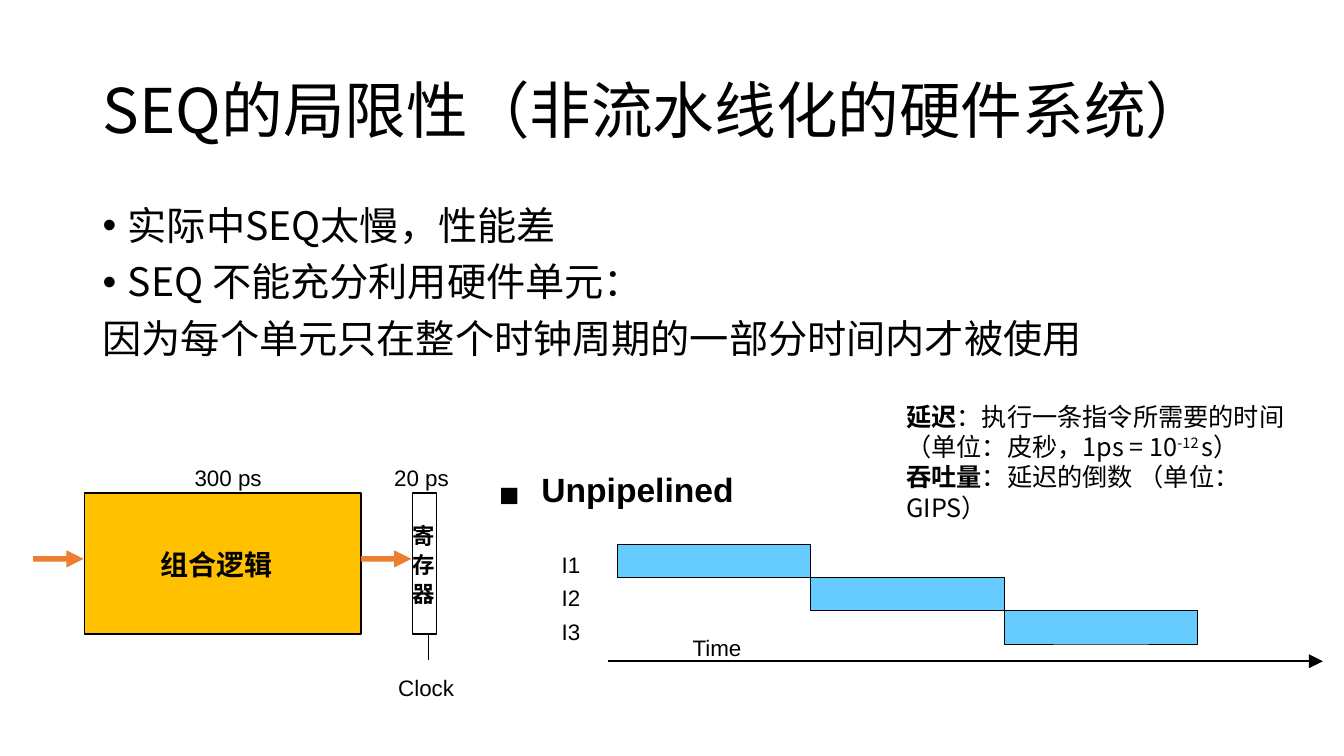
from lxml.etree import SubElement
from pptx import Presentation
from pptx.dml.color import RGBColor
from pptx.enum.shapes import MSO_CONNECTOR, MSO_SHAPE
from pptx.enum.text import MSO_ANCHOR, MSO_AUTO_SIZE
from pptx.oxml.ns import qn
from pptx.util import Inches, Pt

CJK, LATIN = "Noto Sans CJK KR", "Arial"
TITLE = "SEQ的局限性（非流水线化的硬件系统）"
BODY = [
    ("实际中SEQ太慢，性能差", True),
    ("SEQ 不能充分利用硬件单元：", True),
    ("因为每个单元只在整个时钟周期的一部分时间内才被使用", False),
]
NOTE = [
    [("延迟", "bold"), ("：执行一条指令所需要的时间（单位：皮秒，1ps = 10", ""),
     ("-12 ", "super"), ("s）", "")],
    [("吞吐量", "bold"), ("：延迟的倒数 （单位：GIPS）", "")],
]
LABELS = [
    ("300 ps", 1.93, 4.59, 0.8, {"size": 16}),
    ("20 ps", 3.91, 4.59, 0.8, {"size": 16}),
    ("Clock", 3.95, 6.67, 0.74, {"size": 16}),
    ("■", 4.95, 4.66, 0.33, {"size": 24}),
    ("Unpipelined", 5.37, 4.62, 2.54, {"size": 24, "bold": True}),
    ("Time", 6.87, 6.27, 0.64, {"size": 16}),
]
BLOCKS = [
    ("组合逻辑", 0.84, 2.74, "FFC000", 20, 0.75),
    ("寄存器", 4.09, 0.24, None, 16, 0),
]
BLOCK_TOP, BLOCK_H = 4.89, 1.4
ARROW_LEFTS = [0.33, 3.58]
STAGES = ["I1", "I2", "I3"]
BAR_LEFT, BAR_TOP, BAR_W, BAR_H = 6.12, 5.4, 1.92, 0.33


def color(hex_value):
    return RGBColor.from_string(hex_value)


def add_run(p, text, size, name=LATIN, bold=False):
    r = p.add_run()
    r.text = text
    for key, value in {"size": Pt(size), "name": name, "bold": bold}.items():
        setattr(r.font, key, value)
    r.font.color.rgb = color("000000")
    SubElement(r.font._element, qn("a:ea"), typeface=CJK)
    return r


def set_frame(tf, left=0, anchor=MSO_ANCHOR.TOP):
    values = {"margin_left": Inches(left), "margin_top": 0, "margin_right": 0,
              "margin_bottom": 0, "word_wrap": True, "vertical_anchor": anchor}
    for key, value in values.items():
        setattr(tf, key, value)


def add_box(s, x, y, w, h):
    tf = s.shapes.add_textbox(Inches(x), Inches(y), Inches(w), Inches(h)).text_frame
    tf.word_wrap = True
    return tf


def add_label(s, text, x, y, w, style):
    tf = add_box(s, x, y, w, style["size"] / 48)
    set_frame(tf)
    p = tf.paragraphs[0]
    p.line_spacing = 1.07
    add_run(p, text, **style)


def add_solid(s, kind, x, y, w, h, fill, line=None):
    sp = s.shapes.add_shape(kind, Inches(x), Inches(y), Inches(w), Inches(h))
    sp.shadow.inherit = False
    if fill:
        sp.fill.solid()
        sp.fill.fore_color.rgb = color(fill)
    else:
        sp.fill.background()
    if line:
        sp.line.color.rgb = color("000000")
        sp.line.width = Pt(line)
    else:
        sp.line.fill.background()
    return sp


def add_line(s, x1, y1, x2, y2, width, arrow=False):
    cx = s.shapes.add_connector(MSO_CONNECTOR.STRAIGHT, Inches(x1), Inches(y1), Inches(x2), Inches(y2))
    cx.line.color.rgb = color("000000")
    cx.line.width = Pt(width)
    if arrow:
        SubElement(cx.line._get_or_add_ln(), qn("a:tailEnd"), type="triangle", w="lg", len="lg")
    SubElement(cx._element.spPr, qn("a:effectLst"))


def add_title(s):
    title = s.shapes.title
    box = {"left": 0.92, "top": 0.4, "width": 11.5, "height": 1.45}
    for key, value in box.items():
        setattr(title, key, Inches(value))
    tf = title.text_frame
    tf.vertical_anchor = MSO_ANCHOR.MIDDLE
    tf.auto_size = MSO_AUTO_SIZE.NONE
    tf.word_wrap = True
    p = tf.paragraphs[0]
    p.alignment = 1
    p.line_spacing = 0.9
    add_run(p, TITLE, 44, CJK)


def add_body(s):
    tf = add_box(s, 0.92, 2, 11.5, 4.76)
    for i, (text, bullet) in enumerate(BODY):
        p = tf.add_paragraph() if i else tf.paragraphs[0]
        p.line_spacing = 0.9
        p.space_before = Pt(10 if i else 0)
        if bullet:
            pPr = p._p.get_or_add_pPr()
            pPr.set("marL", str(Inches(0.25)))
            pPr.set("indent", str(Inches(-0.25)))
            SubElement(pPr, qn("a:buFont"), typeface=LATIN)
            SubElement(pPr, qn("a:buChar"), char="•")
        add_run(p, text, 28, CJK)


def add_note(s):
    tf = add_box(s, 8.89, 3.93, 4.15, 1.01)
    for i, runs in enumerate(NOTE):
        p = tf.add_paragraph() if i else tf.paragraphs[0]
        for text, style in runs:
            r = add_run(p, text, 18, CJK, style == "bold")
            if style == "super":
                r.font._element.set("baseline", "30000")


def add_circuit(s):
    for text, x, w, fill, size, inset in BLOCKS:
        sp = add_solid(s, MSO_SHAPE.RECTANGLE, x, BLOCK_TOP, w, BLOCK_H, fill, 0.96)
        set_frame(sp.text_frame, inset, MSO_ANCHOR.MIDDLE)
        p = sp.text_frame.paragraphs[0]
        p.alignment = 1
        p.line_spacing = 1.07
        add_run(p, text, size, bold=True)
    for x in ARROW_LEFTS:
        sp = add_solid(s, MSO_SHAPE.RIGHT_ARROW, x, 5.46, 0.5, 0.17, "ED7D31")
        sp.adjustments[0], sp.adjustments[1] = 0.33, 1
    add_line(s, 4.25, 6.3, 4.25, 6.55, 0.96)


def add_timeline(s):
    for i, stage in enumerate(STAGES):
        y = BAR_TOP + i * BAR_H
        add_solid(s, MSO_SHAPE.RECTANGLE, BAR_LEFT + i * BAR_W, y, BAR_W, BAR_H, "66CCFF", 0.72)
        add_label(s, stage, 5.57, y + 0.05, 0.59, {"size": 16})
    add_line(s, 6.03, 6.56, 13.12, 6.56, 1.25, True)


def main():
    prs = Presentation()
    prs.slide_width, prs.slide_height = Inches(13.33), Inches(7.5)
    s = prs.slides.add_slide(prs.slide_layouts[5])
    add_title(s)
    add_body(s)
    add_circuit(s)
    add_timeline(s)
    for label in LABELS:
        add_label(s, *label)
    add_note(s)
    prs.save("out.pptx")


if __name__ == "__main__":
    main()
